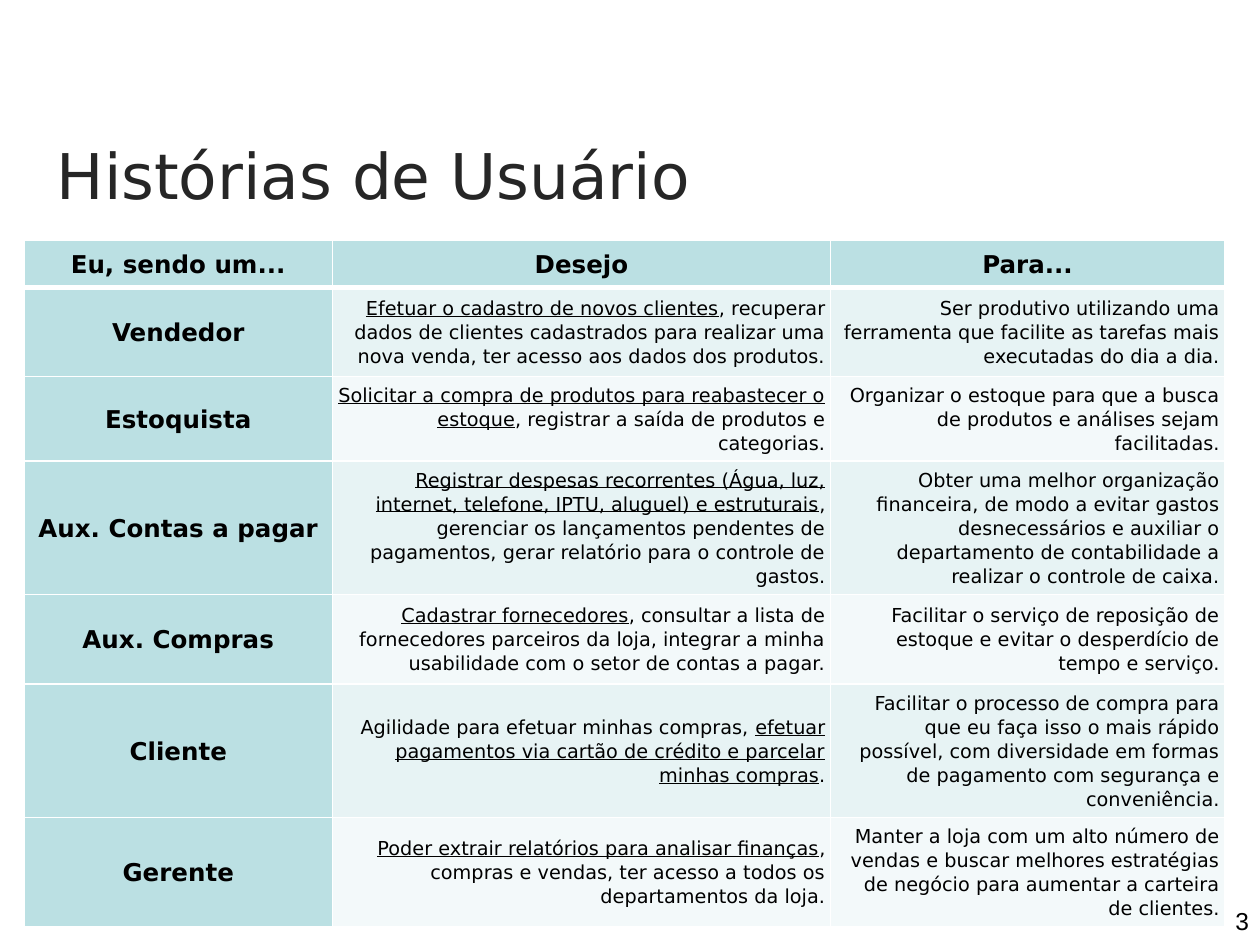
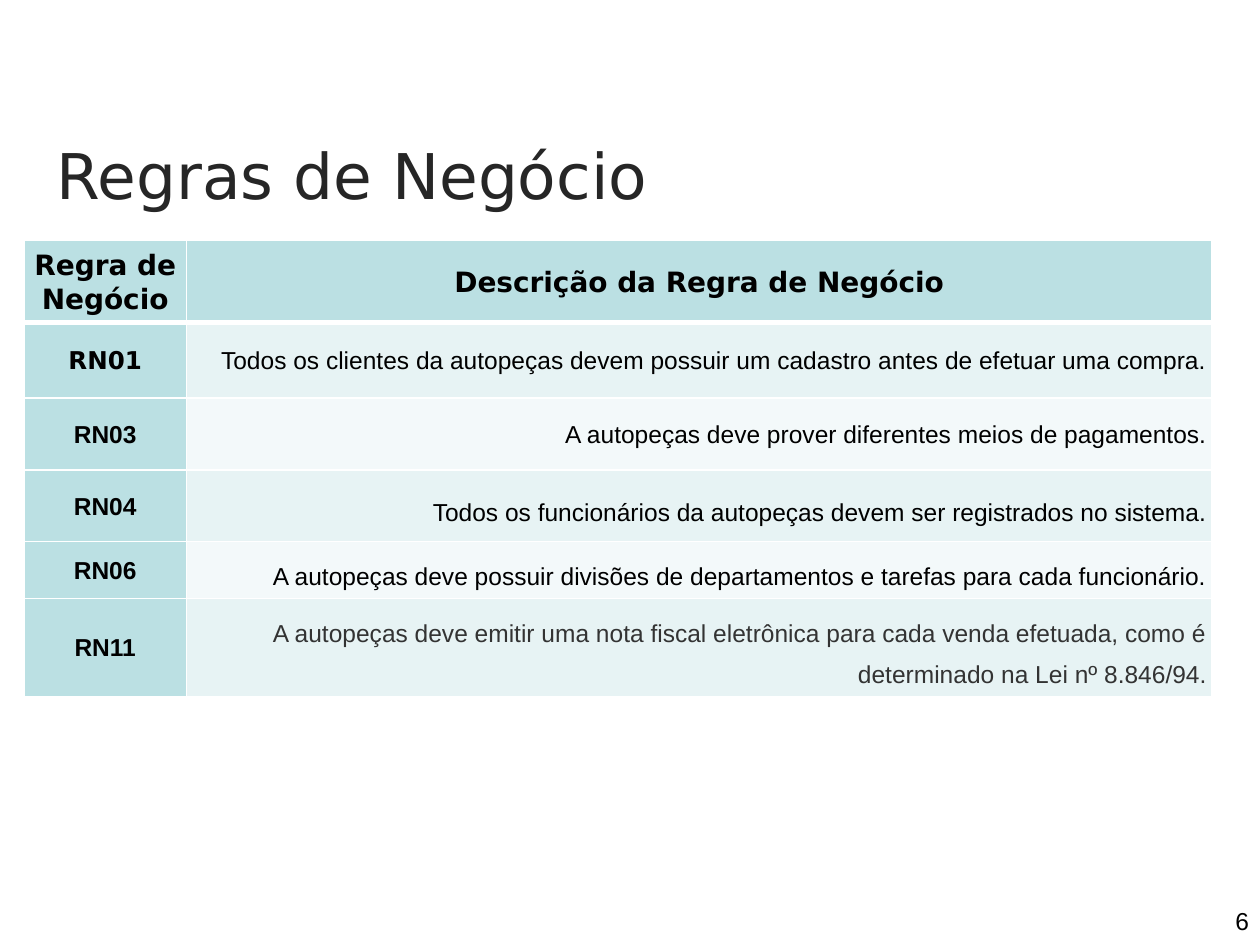
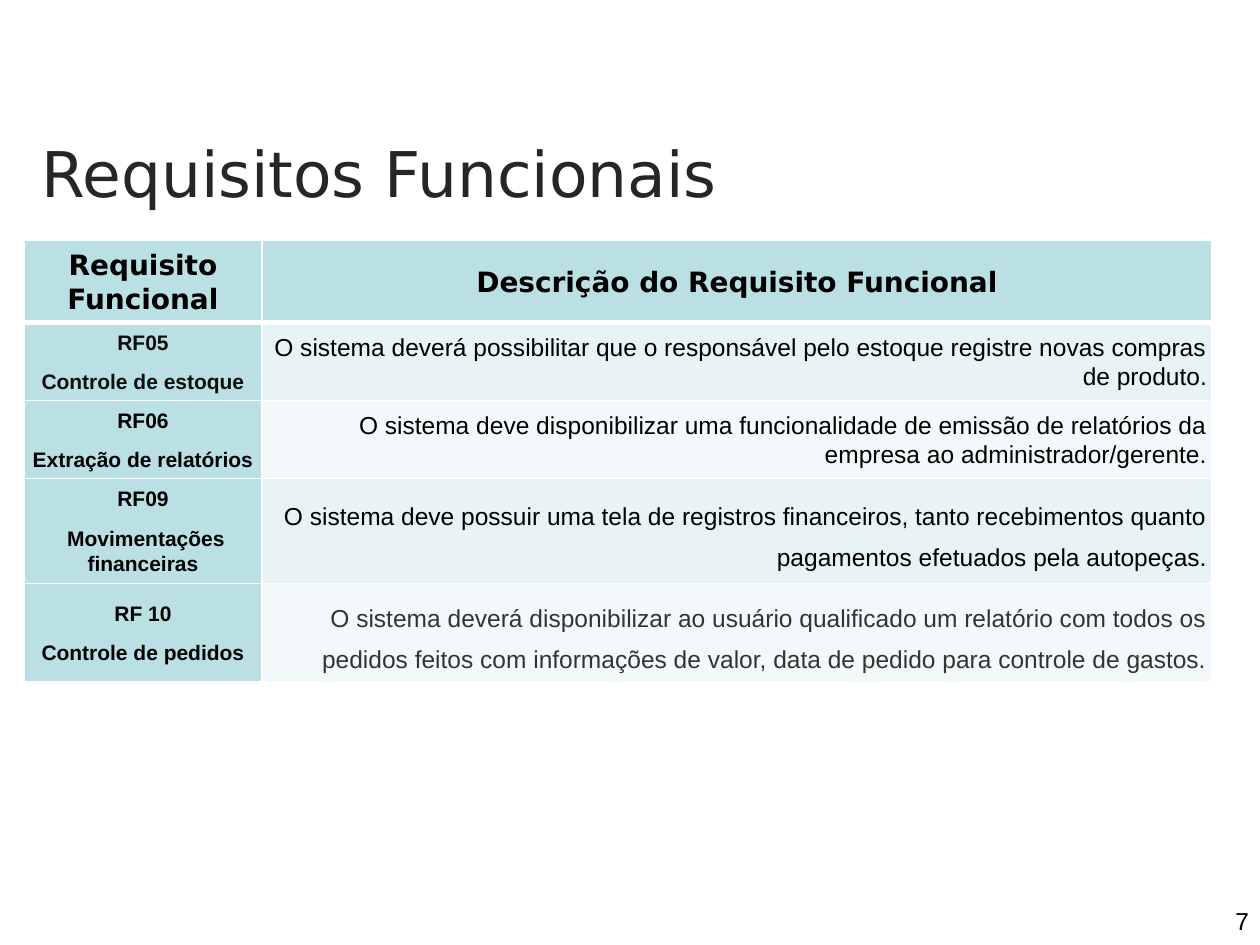
"""Three slides of user stories, business rules and functional requirements, each with one table."""
from lxml import etree
from pptx import Presentation
from pptx.dml.color import RGBColor
from pptx.enum import text
from pptx.oxml import ns
from pptx.util import Inches, Pt

COLORS = {
    "head": "BBE0E3", "odd": "E7F3F4", "even": "F3F9FA", "rule": "FFFFFF",
    "title": "262626", "ink": "000000", "near_black": "0D0D0D", "gray": "333333",
}
SANS, ARIAL = "DejaVu Sans", "Arial"

deck = Presentation()
deck.slide_width, deck.slide_height = Inches(10), Inches(7.5)
col, row = deck.slide_width / 100, deck.slide_height / 75

sections = [
    {
        "page": "3", "title": "Histórias de Usuário", "corner": (3.5, 9.9),
        "widths": [24.5, 39.5, 31.3],
        "heights": [3.7, 7.1, 6.6, 10.5, 7.1, 10.5, 8.5],
        "head_size": 14, "key": (SANS, 14), "body": (SANS, 11),
        "rows": [
            ["Eu, sendo um...", "Desejo", "Para..."],
            ["Vendedor",
             "_Efetuar o cadastro de novos clientes_, recuperar dados de clientes cadastrados para "
             "realizar uma nova venda, ter acesso aos dados dos produtos.",
             "Ser produtivo utilizando uma ferramenta que facilite as tarefas mais executadas do dia a dia."],
            ["Estoquista",
             "_Solicitar a compra de produtos para reabastecer o estoque_, registrar a saída de "
             "produtos e categorias.",
             "Organizar o estoque para que a busca de produtos e análises sejam facilitadas."],
            ["Aux. Contas a pagar",
             "_Registrar despesas recorrentes (Água, luz, internet, telefone, IPTU, aluguel) e "
             "estruturais_, gerenciar os lançamentos pendentes de pagamentos, gerar relatório para o "
             "controle de gastos.",
             "Obter uma melhor organização financeira, de modo a evitar gastos desnecessários e "
             "auxiliar o departamento de contabilidade a realizar o controle de caixa."],
            ["Aux. Compras",
             "_Cadastrar fornecedores_, consultar a lista de fornecedores parceiros da loja, integrar "
             "a minha usabilidade com o setor de contas a pagar.",
             "Facilitar o serviço de reposição de estoque e evitar o desperdício de tempo e serviço."],
            ["Cliente",
             "Agilidade para efetuar minhas compras, _efetuar pagamentos via cartão de crédito e "
             "parcelar minhas compras_.",
             "Facilitar o processo de compra para que eu faça isso o mais rápido possível, com "
             "diversidade em formas de pagamento com segurança e conveniência."],
            ["Gerente",
             "_Poder extrair relatórios para analisar finanças_, compras e vendas, ter acesso a todos "
             "os departamentos da loja.",
             "Manter a loja com um alto número de vendas e buscar melhores estratégias de negócio "
             "para aumentar a carteira de clientes."],
        ],
        "fonts": {}, "inks": {}, "loose": [],
    },
    {
        "page": "6", "title": "Regras de Negócio", "corner": (3.5, 9.9),
        "widths": [12.9, 81.4],
        "heights": [6.4, 6, 5.7, 5.7, 4.5, 7.8],
        "head_size": 16, "key": (ARIAL, 14), "body": (ARIAL, 14),
        "rows": [
            ["Regra de Negócio", "Descrição da Regra de Negócio"],
            ["RN01", "Todos os clientes da autopeças devem possuir um cadastro antes de efetuar uma compra."],
            ["RN03", "A autopeças deve prover diferentes meios de pagamentos."],
            ["RN04", "Todos os funcionários da autopeças devem ser registrados no sistema."],
            ["RN06", "A autopeças deve possuir divisões de departamentos e tarefas para cada funcionário."],
            ["RN11", "A autopeças deve emitir uma nota fiscal eletrônica para cada venda efetuada, "
                     "como é determinado na Lei nº 8.846/94."],
        ],
        "fonts": {(1, 0): SANS}, "inks": {(5, 1): "gray"}, "loose": [3, 4, 5],
    },
    {
        "page": "7", "title": "Requisitos Funcionais", "corner": (2.3, 9.8),
        "widths": [18.9, 75.4],
        "heights": [6.4, 6.1, 6.1, 8.3, 7.8],
        "head_size": 16, "key": (ARIAL, 12), "body": (ARIAL, 14),
        "rows": [
            ["Requisito Funcional", "Descrição do Requisito Funcional"],
            ["RF05\nControle de estoque",
             "O sistema deverá possibilitar que o responsável pelo estoque registre novas compras de produto."],
            ["RF06\nExtração de relatórios",
             "O sistema deve disponibilizar uma funcionalidade de emissão de relatórios da empresa ao "
             "administrador/gerente."],
            ["RF09\n\u00a0Movimentações financeiras",
             "O sistema deve possuir uma tela de registros financeiros, tanto recebimentos quanto "
             "pagamentos efetuados pela autopeças."],
            ["RF 10\nControle de pedidos",
             "O sistema deverá disponibilizar ao usuário qualificado um relatório com todos os pedidos "
             "feitos com informações de valor, data de pedido para controle de gastos."],
        ],
        "fonts": {}, "inks": {(1, 0): "near_black", (4, 1): "gray"}, "loose": [3, 4],
    },
]


def style_run(run, font, size, ink, bold=False):
    run.font.name, run.font.size, run.font.bold = font, Pt(size), bold
    run.font.color.rgb = RGBColor.from_string(COLORS[ink])


def rule_cell(cell, bottom):
    properties = cell._tc.get_or_add_tcPr()
    for place, (side, points) in enumerate([("lnL", 1), ("lnR", 1), ("lnT", 1), ("lnB", bottom)]):
        line = etree.Element(ns.qn(f"a:{side}"), w=str(Pt(points)))
        paint = etree.SubElement(line, ns.qn("a:solidFill"))
        etree.SubElement(paint, ns.qn("a:srgbClr"), val=COLORS["rule"])
        properties.insert(place, line)


for section in sections:
    slide = deck.slides.add_slide(deck.slide_layouts[5])

    heading = slide.shapes.title
    left, top = section["corner"]
    heading.left, heading.top = int(left * col), int(top * row)
    heading.width, heading.height = int(85.1 * col), int(7.1 * row)
    frame = heading.text_frame
    frame.text = section["title"]
    frame.auto_size = text.MSO_AUTO_SIZE.NONE
    frame.vertical_anchor = text.MSO_ANCHOR.TOP
    frame.margin_top = int(0.9 * row)
    frame.paragraphs[0].alignment = text.PP_ALIGN.LEFT
    style_run(frame.paragraphs[0].runs[0], SANS, 36, "title")

    page = slide.shapes.add_textbox(int(94.9 * col), int(71.4 * row), int(5.2 * col), int(2.4 * row))
    page.text_frame.word_wrap = True
    page.text_frame.text = section["page"]
    page.text_frame.paragraphs[0].alignment = text.PP_ALIGN.RIGHT
    style_run(page.text_frame.paragraphs[0].runs[0], ARIAL, 14, "ink")

    widths, heights = section["widths"], section["heights"]
    grid = slide.shapes.add_table(
        len(heights), len(widths), int(1.9 * col), int(19.1 * row),
        int(sum(widths) * col), int(sum(heights) * row)).table
    for column, share in zip(grid.columns, widths):
        column.width = int(share * col)
    for line, share in zip(grid.rows, heights):
        line.height = int(share * row)

    for r, entries in enumerate(section["rows"]):
        for c, entry in enumerate(entries):
            cell = grid.cell(r, c)
            is_label = r == 0 or c == 0
            font, size = section["key"] if c == 0 else section["body"]
            if r == 0:
                font, size = SANS, section["head_size"]
            font = section["fonts"].get((r, c), font)
            ink = section["inks"].get((r, c), "ink")
            tint = "head" if is_label else "odd" if r % 2 else "even"

            cell.fill.solid()
            cell.fill.fore_color.rgb = RGBColor.from_string(COLORS[tint])
            cell.margin_left = cell.margin_right = int(0.4 * col)
            cell.margin_top = cell.margin_bottom = int(0.4 * row)
            cell.vertical_anchor = text.MSO_ANCHOR.MIDDLE
            rule_cell(cell, 3 if r == 0 else 1)

            cell.text_frame.text = entry.replace("_", "")
            for paragraph, wording in zip(cell.text_frame.paragraphs, entry.split("\n")):
                paragraph.alignment = text.PP_ALIGN.CENTER if is_label else text.PP_ALIGN.RIGHT
                paragraph.line_spacing = 1.5 if c and r in section["loose"] else 1.07
                paragraph.space_after = Pt(8)
                paragraph.text = ""
                for part, words in enumerate(wording.split("_")):
                    if words:
                        run = paragraph.add_run()
                        run.text = words
                        style_run(run, font, size, ink, is_label)
                        run.font.underline = part % 2 == 1

deck.save("out.pptx")
